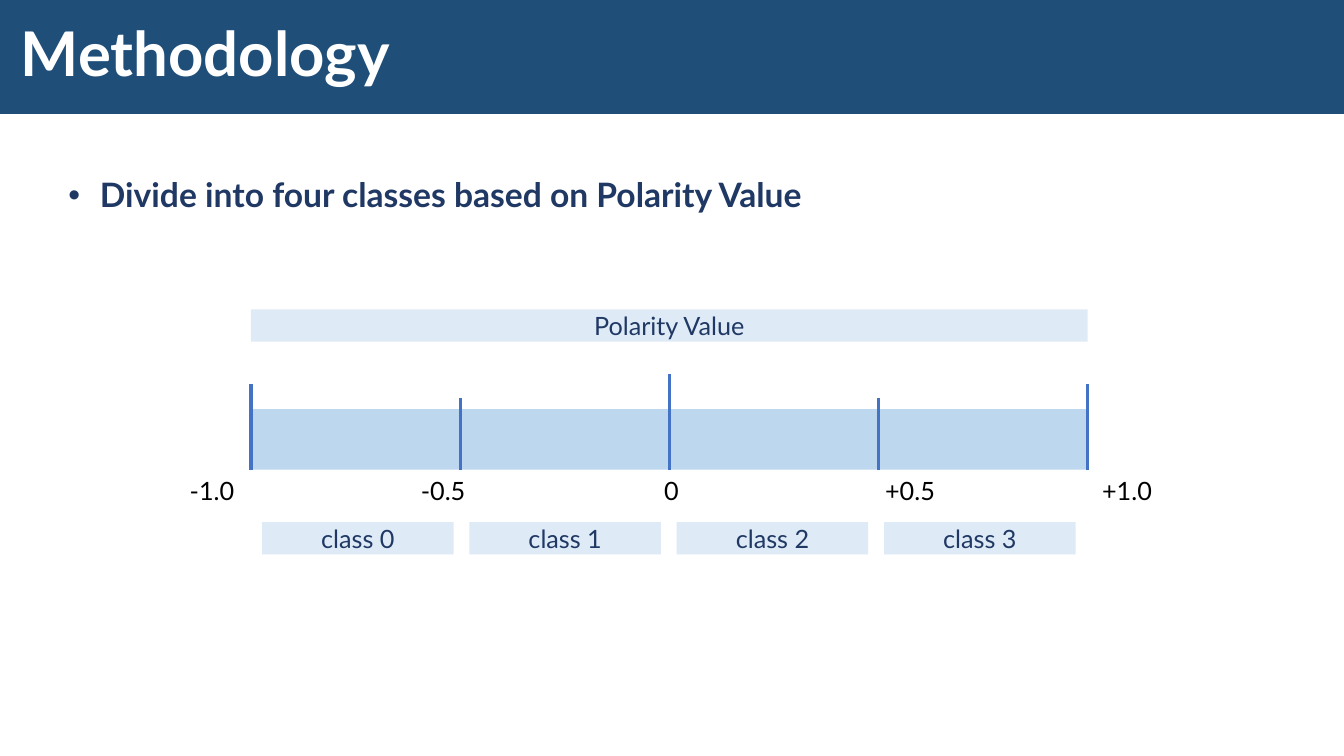
"""Build the Methodology slide with a polarity scale divided into four classes."""
from lxml import etree
from pptx import Presentation
from pptx.dml.color import RGBColor
from pptx.enum.shapes import MSO_CONNECTOR, MSO_SHAPE
from pptx.enum.text import MSO_ANCHOR, PP_ALIGN
from pptx.oxml.ns import qn
from pptx.util import Pt

RECTANGLE = MSO_SHAPE.RECTANGLE
STRAIGHT = MSO_CONNECTOR.STRAIGHT
MIDDLE = MSO_ANCHOR.MIDDLE
LEFT, CENTER = PP_ALIGN.LEFT, PP_ALIGN.CENTER
NAVY, PALE_BLUE = "203864", "DEEBF7"
SCALE_LEFT, SCALE_WIDTH, SCALE_BOTTOM = 179.3, 597.6, 335.5


def write(box, text, size, color, align=LEFT, bold=False):
    box.text_frame.text = text
    para = box.text_frame.paragraphs[0]
    para.alignment = align
    for span in para.runs:
        span.font.name = "Lato"
        span.font.size = Pt(size)
        span.font.bold = bold
        span.font.color.rgb = RGBColor.from_string(color)
    return para


def add_bar(left, top, width, height, fill, text=""):
    bar = page.shapes.add_shape(RECTANGLE, Pt(left), Pt(top), Pt(width), Pt(height))
    bar.shadow.inherit = False
    bar.fill.solid()
    bar.fill.fore_color.rgb = RGBColor.from_string(fill)
    bar.line.fill.background()
    bar.text_frame.vertical_anchor = MIDDLE
    if text:
        write(bar, text, 18, NAVY, CENTER)


deck = Presentation()
deck.slide_width, deck.slide_height = Pt(960), Pt(540)
page = deck.slides.add_slide(deck.slide_layouts[5])

title = page.shapes.title
title.left, title.top, title.width, title.height = Pt(0), Pt(0), Pt(960), Pt(81.4)
title.fill.solid()
title.fill.fore_color.rgb = RGBColor.from_string("1F4E79")
title.text_frame.vertical_anchor = MIDDLE
title.text_frame.margin_left = Pt(15)
write(title, "Methodology", 44, "FFFFFF", bold=True).line_spacing = 0.9

add_bar(SCALE_LEFT, 292.3, SCALE_WIDTH, 43.2, "BDD7EE")

for index, top in enumerate([274.3, 284.4, 267.1, 284.4, 274.3]):
    x = Pt(SCALE_LEFT + index * SCALE_WIDTH / 4)
    tick = page.shapes.add_connector(STRAIGHT, x, Pt(top), x, Pt(SCALE_BOTTOM))
    tick.line.color.rgb = RGBColor.from_string("4472C4")
    tick.line.width = Pt(2.25)
    etree.SubElement(tick._element.spPr, qn("a:effectLst"))

labels = page.shapes.add_textbox(Pt(114.5), Pt(336.2), Pt(730), Pt(29))
labels.text_frame.word_wrap = True
labels.text_frame.margin_left = Pt(21)
para = write(labels, "-1.0\t-0.5\t0\t+0.5\t+1.0", 18, "000000")
tab_list = etree.SubElement(para._p.get_or_add_pPr(), qn("a:tabLst"))
for position in [181, 344, 514.5, 669.5]:
    etree.SubElement(tab_list, qn("a:tab"), pos=str(Pt(position)), algn="ctr")

for index in range(4):
    add_bar(187.2 + index * 148.1, 373, 136.8, 23, PALE_BLUE, f"class {index}")
add_bar(SCALE_LEFT, 221, SCALE_WIDTH, 23, PALE_BLUE, "Polarity Value")

statement = page.shapes.add_textbox(Pt(41.8), Pt(106.6), Pt(638.6), Pt(46))
statement.text_frame.word_wrap = True
para = write(statement, "Divide into four classes based on Polarity Value", 24, NAVY, bold=True)
para.line_spacing = 1.5
properties = para._p.get_or_add_pPr()
properties.set("marL", str(Pt(22.5)))
properties.set("indent", str(Pt(-22.5)))
etree.SubElement(properties, qn("a:buFont"), typeface="Arial")
etree.SubElement(properties, qn("a:buChar"), char="•")

deck.save("out.pptx")
